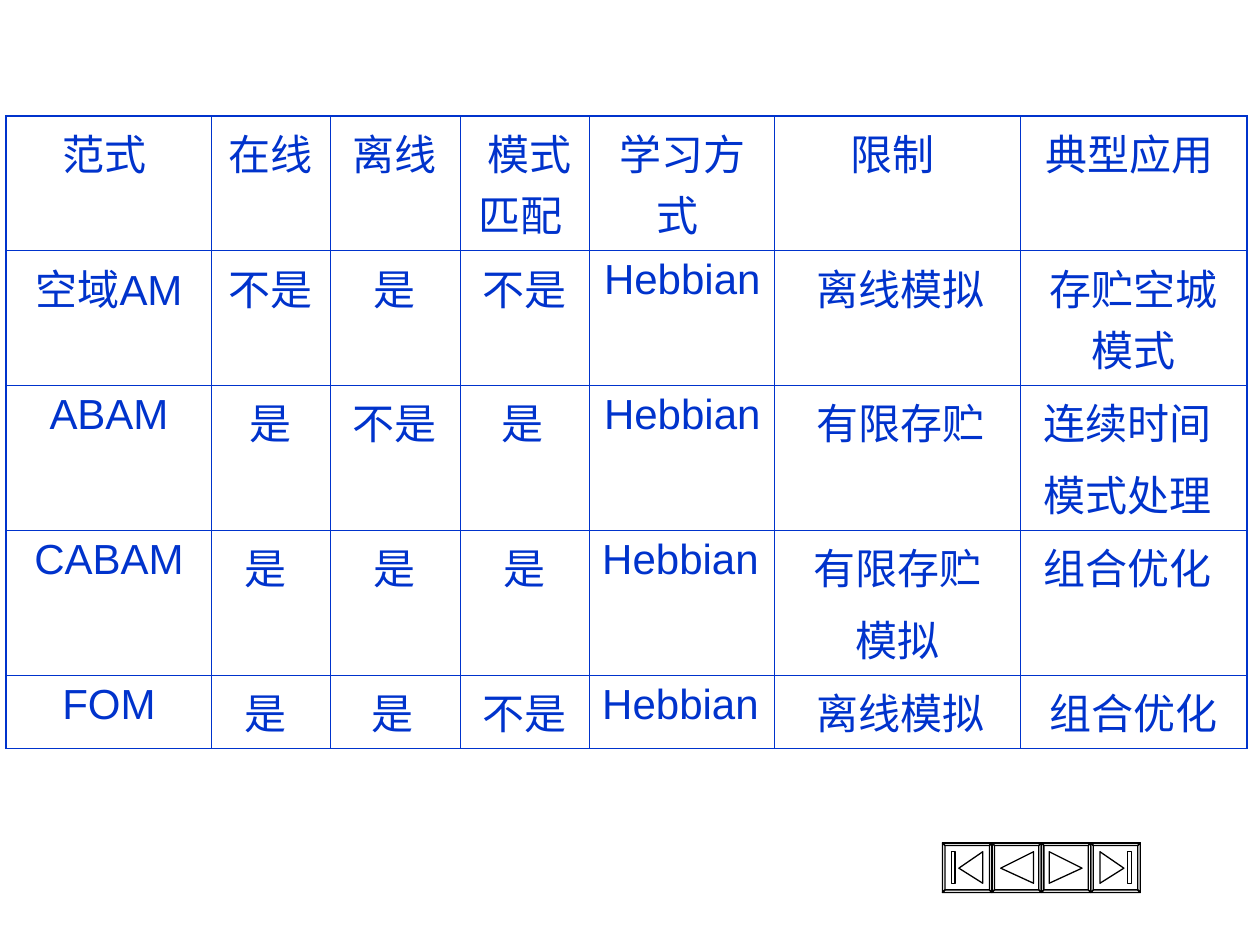
"""Build a slide with a comparison table of memory paradigms and navigation buttons."""
from lxml.etree import SubElement
from pptx import Presentation
from pptx.dml.color import RGBColor
from pptx.enum.text import PP_ALIGN
from pptx.oxml.ns import qn
from pptx.util import Inches, Pt

BLUE = RGBColor(0x00, 0x33, 0xCC)
BLACK = RGBColor(0x00, 0x00, 0x00)
WHITE = RGBColor(0xFF, 0xFF, 0xFF)

COLUMN_WIDTHS = [1.63, 0.94, 1.03, 1.03, 1.47, 1.95, 1.8]
ROW_HEIGHTS = [0.9, 0.92, 0.99, 0.99, 0.5]
INNER_LINE, OUTER_LINE = 0.45, 1.08

# A plain string is centred; a pair is left-aligned text with its indent in inches.
ROWS = [
    ["范式 ", "在线 ", " 离线 ", " 模式匹配 ", "学习方式 ", "限制 ", "典型应用 "],
    ["空域AM", "不是", "是", "不是", "Hebbian", ("离线模拟", 0.23), "存贮空城模式"],
    ["ABAM", "是", "不是", ("是", 0.23), "Hebbian", ("有限存贮", 0.23),
     ("连续时间\n模式处理", 0.08)],
    ["CABAM", ("是", 0.16), "是", "是", ("Hebbian", 0), "有限存贮\n模拟",
     ("组合优化", 0.08)],
    ["FOM", ("是", 0.16), ("是", 0.23), "不是", ("Hebbian", 0), ("离线模拟", 0.23),
     "组合优化"],
]

STRIP_LEFT, STRIP_TOP, STRIP_WIDTH = 7.48, 6.69, 1.57
SIDE = STRIP_WIDTH / 4
BEVEL = 0.02
BACK_TO_START = [
    [(0.13, 0.2), (0.32, 0.07), (0.32, 0.32)],
    [(0.07, 0.07), (0.1, 0.07), (0.1, 0.32), (0.07, 0.32)],
]
BACK = [[(0.07, 0.2), (0.33, 0.07), (0.33, 0.32)]]


def mirror(outlines):
    """Flip icon outlines from left to right within a button."""
    return [[(SIDE - x, y) for x, y in outline] for outline in outlines]


def button_frame():
    """Return the outer square and its four bevelled edges."""
    far = SIDE - BEVEL
    outer = [(0, 0), (SIDE, 0), (SIDE, SIDE), (0, SIDE)]
    inner = [(BEVEL, BEVEL), (far, BEVEL), (far, far), (BEVEL, far)]
    edges = [
        [outer[i], outer[(i + 1) % 4], inner[(i + 1) % 4], inner[i]]
        for i in range(4)
    ]
    return [outer, *edges]


def add_button(page, left, icon):
    """Draw one bevelled navigation button with its icon."""
    builder = None
    for outline in button_frame() + icon:
        points = [(Inches(left + x), Inches(STRIP_TOP + y)) for x, y in outline]
        if builder is None:
            builder = page.shapes.build_freeform(*points[0], scale=1.0)
        else:
            builder.move_to(*points[0])
        builder.add_line_segments(points[1:], close=True)
    button = builder.convert_to_shape()
    button.shadow.inherit = False
    button.fill.solid()
    button.fill.fore_color.rgb = WHITE
    button.line.color.rgb = BLACK
    button.line.width = Pt(0.75)


def set_borders(cell, widths):
    """Give a cell its left, right, top and bottom lines, in points."""
    properties = cell._tc.get_or_add_tcPr()
    for tag, width in zip(("a:lnL", "a:lnR", "a:lnT", "a:lnB"), widths):
        line = SubElement(properties, qn(tag), w=str(Pt(width)))
        fill = SubElement(line, qn("a:solidFill"))
        SubElement(fill, qn("a:srgbClr"), val=str(BLUE))


def write_cell(cell, text, align=PP_ALIGN.CENTER, indent=0):
    """Write one paragraph per line of text into a cell."""
    frame = cell.text_frame
    for number, words in enumerate(text.split("\n")):
        para = frame.add_paragraph() if number else frame.paragraphs[0]
        para.alignment = align
        if number:
            para.space_before = Pt(6)
        if indent:
            para._p.get_or_add_pPr().set("marL", str(Inches(indent)))
        span = para.add_run()
        span.text = words
        span.font.name = "Arial"
        span.font.size = Pt(24)
        span.font.color.rgb = BLUE


def add_comparison_table(page):
    """Add the table that compares the paradigms."""
    row_count, column_count = len(ROWS), len(COLUMN_WIDTHS)
    table = page.shapes.add_table(
        row_count, column_count, Inches(0.05), Inches(0.92),
        Inches(sum(COLUMN_WIDTHS)), Inches(sum(ROW_HEIGHTS)),
    ).table
    table.first_row = table.horz_banding = False
    for column, width in zip(table.columns, COLUMN_WIDTHS):
        column.width = Inches(width)
    for row, height in zip(table.rows, ROW_HEIGHTS):
        row.height = Inches(height)
    for r, contents in enumerate(ROWS):
        for c, content in enumerate(contents):
            cell = table.cell(r, c)
            on_edge = (c == 0, c == column_count - 1, r == 0, r == row_count - 1)
            set_borders(cell, [OUTER_LINE if edge else INNER_LINE for edge in on_edge])
            cell.fill.background()
            if isinstance(content, tuple):
                text, indent = content
                write_cell(cell, text, align=PP_ALIGN.LEFT, indent=indent)
            else:
                write_cell(cell, content)


def main():
    """Build and save the deck."""
    deck = Presentation()
    deck.slide_width, deck.slide_height = Inches(10), Inches(7.5)
    page = deck.slides.add_slide(deck.slide_layouts[6])
    icons = [BACK_TO_START, BACK, mirror(BACK), mirror(BACK_TO_START)]
    for position, icon in enumerate(icons):
        add_button(page, STRIP_LEFT + position * SIDE, icon)
    add_comparison_table(page)
    deck.save("out.pptx")


if __name__ == "__main__":
    main()
